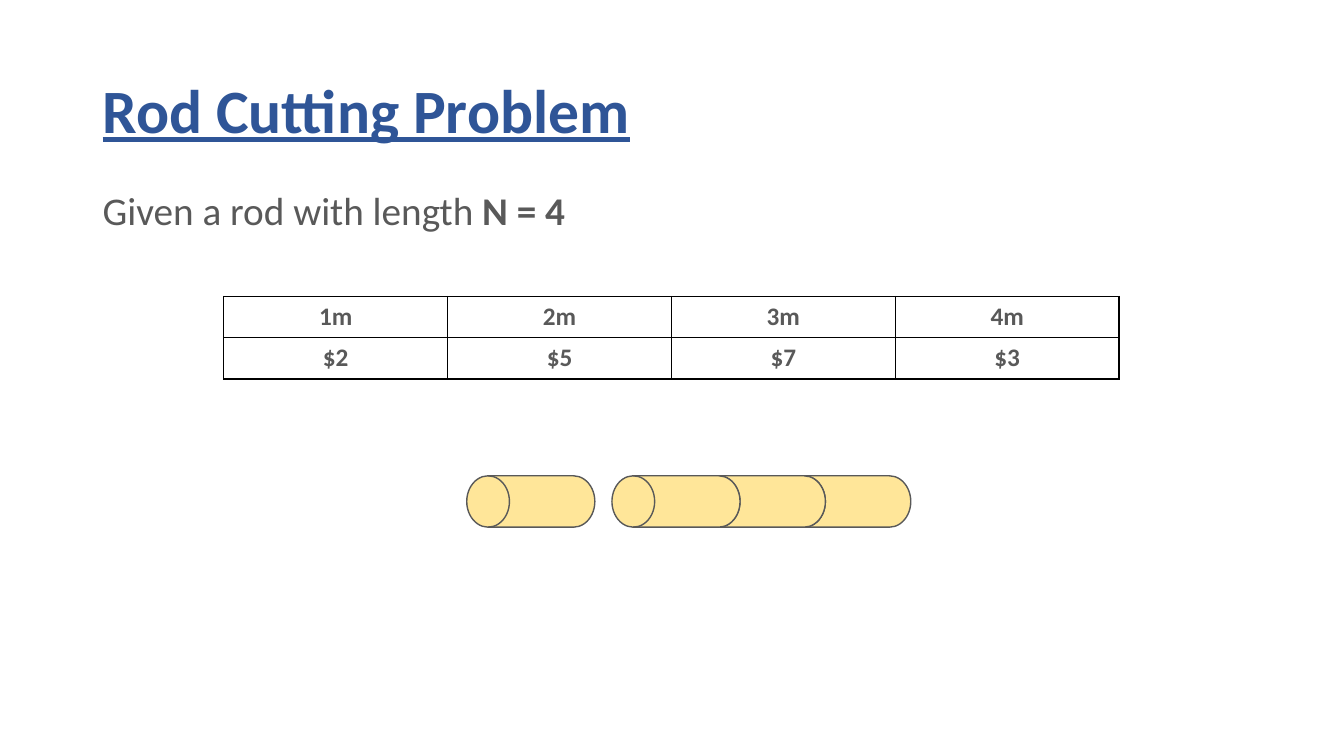
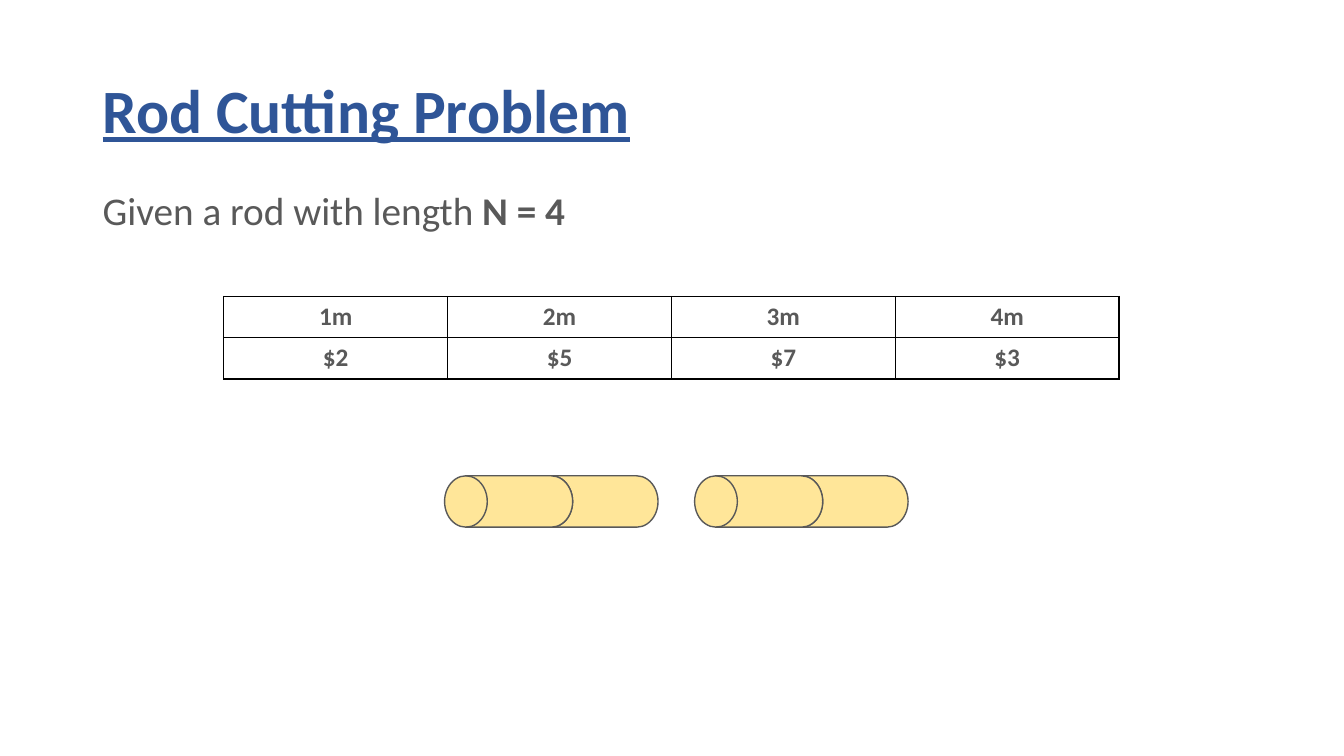
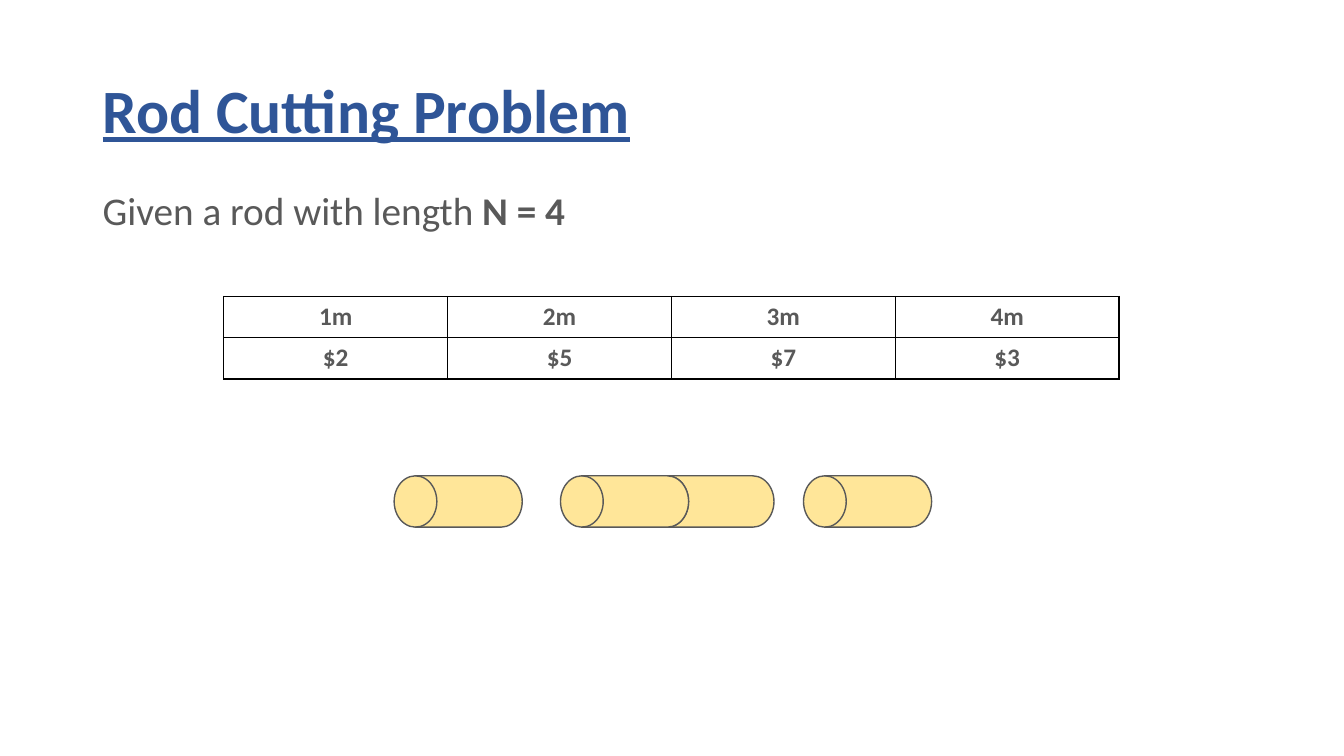
from lxml import etree
from pptx import Presentation
from pptx.dml.color import RGBColor
from pptx.enum.shapes import MSO_SHAPE as SHP
from pptx.enum.text import MSO_ANCHOR as ANC, PP_ALIGN as AL
from pptx.oxml.ns import qn
from pptx.util import Inches, Pt

BLUE, GRAY, BLACK, YELLOW = "2F5597", "595959", "000000", "FFE699"
TITLE = {"size": Pt(44), "bold": True, "underline": True, "color": BLUE}
BODY = {"size": Pt(28), "bold": False, "color": GRAY}
BODY_BOLD = {**BODY, "bold": True}
CELL = {"size": Pt(18), "bold": True, "color": GRAY}
PRICES = [["1m", "2m", "3m", "4m"], ["$2", "$5", "$7", "$3"]]
COL_W, ROW_H = 2.22, 0.41
UNIT_LEN, ROD_H, ROD_TOP = 1.27, 0.51, 4.72
STEP = UNIT_LEN * 2 / 3
CUTS = [
    [(4.63, 1), (6.07, 3)],
    [(4.41, 2), (6.89, 2)],
    [(3.91, 1), (5.56, 2), (7.97, 1)],
]


def rgb(color):
    """Turn a hex string into a colour."""
    return RGBColor.from_string(color)


def add_run(p, text, fmt):
    """Add a run formatted from a dict of font values."""
    r = p.add_run()
    r.text = text
    r.font.name = "Calibri"
    for key, value in fmt.items():
        if key == "color":
            r.font.color.rgb = rgb(value)
        else:
            setattr(r.font, key, value)


def add_text(s, box, runs, anchor=ANC.TOP):
    """Add a one-paragraph text box."""
    tf = s.shapes.add_textbox(*map(Inches, box)).text_frame
    tf.word_wrap = True
    tf.vertical_anchor = anchor
    p = tf.paragraphs[0]
    p.line_spacing = 0.9
    for text, fmt in runs:
        add_run(p, text, fmt)


def set_borders(cell, color):
    """Draw a one-point line on each side of a cell."""
    tc_pr = cell._tc.get_or_add_tcPr()
    for side in ("lnL", "lnR", "lnT", "lnB"):
        ln = etree.SubElement(tc_pr, qn(f"a:{side}"), w=str(Pt(1)))
        fill = etree.SubElement(ln, qn("a:solidFill"))
        etree.SubElement(fill, qn("a:srgbClr"), val=color)


def add_grid(s, left, top, rows):
    """Add a bordered table of centred text."""
    n_rows, n_cols = len(rows), len(rows[0])
    box = (left, top, COL_W * n_cols, ROW_H * n_rows)
    tbl = s.shapes.add_table(n_rows, n_cols, *map(Inches, box)).table
    tbl.first_row = tbl.horz_banding = False
    for i, row in enumerate(rows):
        for j, text in enumerate(row):
            cell = tbl.cell(i, j)
            set_borders(cell, BLACK)
            cell.fill.background()
            p = cell.text_frame.paragraphs[0]
            p.alignment = AL.CENTER
            add_run(p, text, CELL)


def add_unit(s, left):
    """Add one lying cylinder whose visible left edge is given."""
    shift = (UNIT_LEN - ROD_H) / 2
    box = (left + shift, ROD_TOP - shift, ROD_H, UNIT_LEN)
    sp = s.shapes.add_shape(SHP.FLOWCHART_MAGNETIC_DISK, *map(Inches, box))
    sp.rotation = 270
    sp.shadow.inherit = False
    sp.fill.solid()
    sp.fill.fore_color.rgb = rgb(YELLOW)
    sp.line.color.rgb = rgb(GRAY)
    sp.line.width = Pt(1)


def add_rod(s, left, length):
    """Add a rod of overlapping units, the leftmost in front."""
    for i in reversed(range(length)):
        add_unit(s, left + i * STEP)


def add_cut_slide(prs, rods):
    """Add a slide that shows one way of cutting the rod."""
    s = prs.slides.add_slide(prs.slide_layouts[6])
    add_text(s, (0.92, 0.4, 11.5, 1.45), [("Rod Cutting Problem", TITLE)], ANC.MIDDLE)
    add_text(s, (0.92, 1.85, 11.5, 5.25),
             [("Given a rod with length ", BODY), ("N = 4", BODY_BOLD)])
    add_grid(s, 2.22, 2.94, PRICES)
    for left, length in reversed(rods):
        add_rod(s, left, length)


def main():
    """Build and save the presentation."""
    prs = Presentation()
    prs.slide_width, prs.slide_height = Inches(13.33), Inches(7.5)
    for rods in CUTS:
        add_cut_slide(prs, rods)
    prs.save("out.pptx")


if __name__ == "__main__":
    main()
